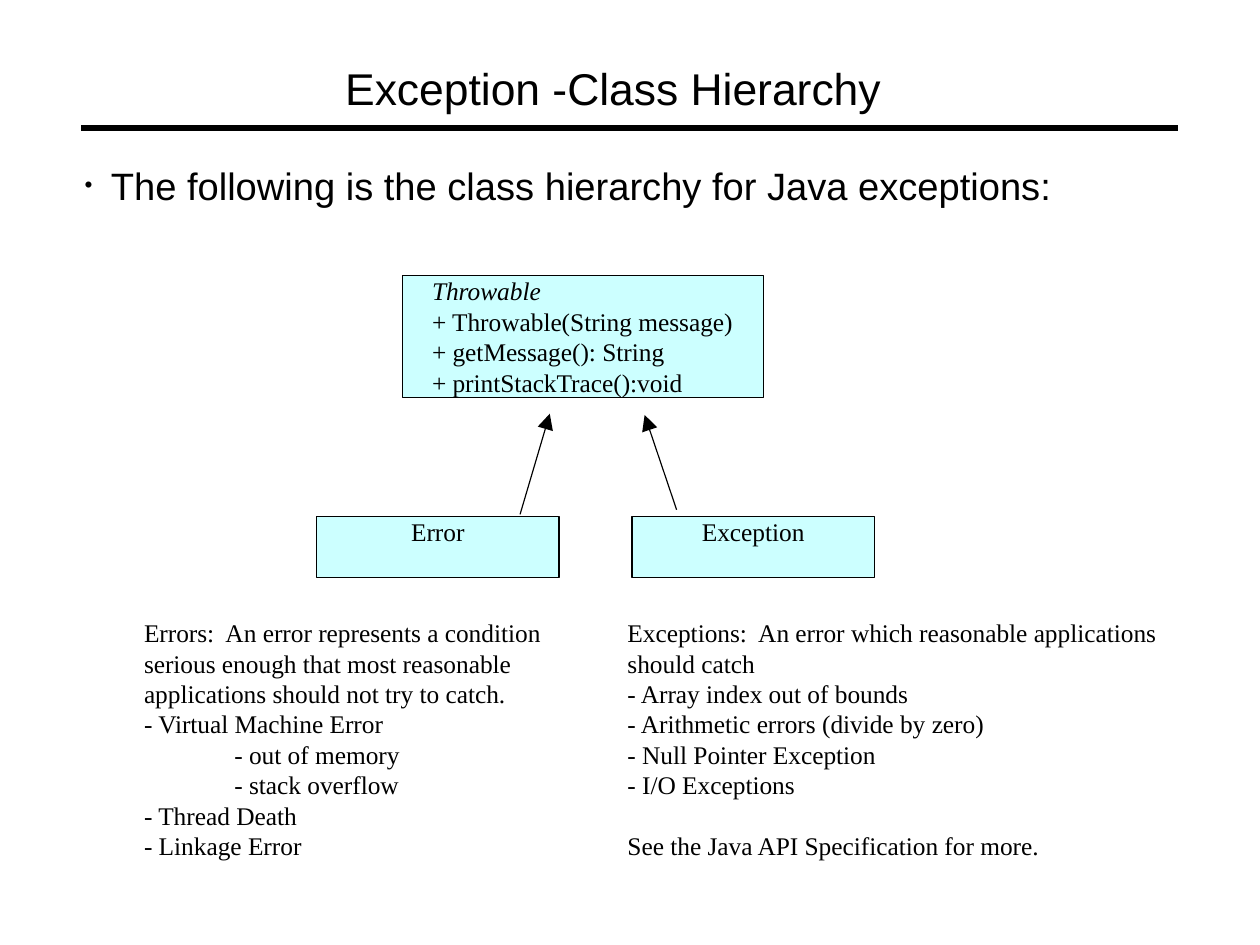
"""Build the exception class hierarchy slide."""
from dataclasses import dataclass

from lxml.etree import SubElement
from pptx import Presentation
from pptx.dml.color import RGBColor
from pptx.enum.shapes import MSO_CONNECTOR, MSO_SHAPE
from pptx.enum.text import MSO_ANCHOR, MSO_AUTO_SIZE, PP_ALIGN
from pptx.oxml.ns import qn
from pptx.util import Cm, Inches, Pt

TITLE = "Exception -Class Hierarchy"
LEAD = "The following is the class hierarchy for Java exceptions:"
THROWABLE = [
    "Throwable",
    "+ Throwable(String message)",
    "+ getMessage(): String",
    "+ printStackTrace():void",
]
SUBCLASSES = ["Error", "Exception"]
ERRORS = [
    "Errors:  An error represents a condition serious enough "
    "that most reasonable applications should not try to catch.",
    "- Virtual Machine Error",
    "- out of memory",
    "- stack overflow",
    "- Thread Death",
    "- Linkage Error",
]
ERROR_DETAILS = ERRORS[2:4]
EXCEPTIONS = [
    "Exceptions:  An error which reasonable applications should catch",
    "- Array index out of bounds",
    "- Arithmetic errors (divide by zero)",
    "- Null Pointer Exception",
    "- I/O Exceptions",
    "See the Java API Specification for more.",
]
ARROWS = [(4.55, 4.5, 4.81, 3.62), (5.92, 4.46, 5.64, 3.63)]


@dataclass(frozen=True)
class Theme:
    """Colours, fonts and sizes of the slide."""
    ink: RGBColor = RGBColor(0x00, 0x00, 0x00)
    box: RGBColor = RGBColor(0xCC, 0xFF, 0xFF)
    heading_font: str = "Arial"
    text_font: str = "Times New Roman"
    title_size: int = 28
    lead_size: int = 24
    text_size: int = 16
    rule_width: float = 4.31
    line_width: float = 0.75


THEME = Theme()


def place(shape, left, top, width, height):
    """Move and size a shape, in inches."""
    shape.left, shape.top = Inches(left), Inches(top)
    shape.width, shape.height = Inches(width), Inches(height)


def write(shape, lines, font, size, align=PP_ALIGN.LEFT, inset=0):
    """Fill a shape with uniformly styled paragraphs and return them."""
    frame = shape.text_frame
    frame.text = "\n".join(lines)
    frame.word_wrap = True
    frame.auto_size = MSO_AUTO_SIZE.NONE
    frame.vertical_anchor = MSO_ANCHOR.TOP
    frame.margin_left = Inches(inset)
    frame.margin_top = frame.margin_right = frame.margin_bottom = 0
    for paragraph in frame.paragraphs:
        if shape.is_placeholder and shape.placeholder_format.idx == 1:
            add_bullet(paragraph)
        paragraph.alignment = align
        paragraph.space_before = Pt(0)
        paragraph.font.name = font
        paragraph.font.size = Pt(size)
        paragraph.font.color.rgb = THEME.ink
    return frame.paragraphs


def indent(paragraph, margin, first=0):
    """Set the left margin and first-line indent, in inches."""
    properties = paragraph._p.get_or_add_pPr()
    properties.set("marL", str(Inches(margin)))
    properties.set("indent", str(Inches(first)))
    return properties


def add_bullet(paragraph):
    """Give a paragraph a small hanging bullet."""
    properties = indent(paragraph, 0.23, -0.23)
    SubElement(properties, qn("a:buSzPct"), val="59000")
    SubElement(properties, qn("a:buChar"), char="•")


def add_class_box(slide, left, top, width, height):
    """Add an empty class box."""
    shape = slide.shapes.add_shape(MSO_SHAPE.ROUNDED_RECTANGLE, 0, 0, 0, 0)
    place(shape, left, top, width, height)
    shape.adjustments[0] = 0
    shape.shadow.inherit = False
    shape.fill.solid()
    shape.fill.fore_color.rgb = THEME.box
    shape.line.color.rgb = THEME.ink
    shape.line.width = Pt(THEME.line_width)
    return shape


def add_line(slide, ends, width, arrow=False):
    """Add a straight line, with an arrowhead at its end if asked."""
    line = slide.shapes.add_connector(
        MSO_CONNECTOR.STRAIGHT, *(Inches(end) for end in ends))
    line.line.color.rgb = THEME.ink
    line.line.width = Pt(width)
    if arrow:
        SubElement(line.line._get_or_add_ln(), qn("a:tailEnd"),
                   type="triangle", w="lg", len="lg")
    SubElement(line._element.spPr, qn("a:effectLst"))


def add_column(slide, lines, left, width):
    """Add an explanatory column and return its paragraphs."""
    column = slide.shapes.add_textbox(0, 0, 0, 0)
    place(column, left, 5.4, width, 2.13)
    return write(column, lines, THEME.text_font, THEME.text_size)


def main():
    """Build and save the slide."""
    presentation = Presentation()
    presentation.slide_width = Cm(28)
    presentation.slide_height = Cm(21)
    slide = presentation.slides.add_slide(presentation.slide_layouts[1])

    add_line(slide, (0.71, 1.12, 10.31, 1.12), THEME.rule_width)
    title, body = slide.shapes.title, slide.placeholders[1]
    place(title, 3.02, 0.53, 4.94, 0.47)
    write(title, [TITLE], THEME.heading_font, THEME.title_size)
    place(body, 0.74, 1.42, 9.37, 0.4)
    write(body, [LEAD], THEME.heading_font, THEME.lead_size)

    throwable = add_class_box(slide, 3.52, 2.41, 3.16, 1.07)
    members = write(throwable, THROWABLE, THEME.text_font, THEME.text_size, inset=0.26)
    members[0].font.italic = True
    for index, name in enumerate(SUBCLASSES):
        box = add_class_box(slide, 2.77 + 2.76 * index, 4.52, 2.12, 0.53)
        write(box, [name], THEME.text_font, THEME.text_size, PP_ALIGN.CENTER)
    for ends in ARROWS:
        add_line(slide, ends, THEME.line_width, arrow=True)

    for paragraph in add_column(slide, ERRORS, 1.26, 3.55):
        if paragraph.text in ERROR_DETAILS:
            indent(paragraph, 0.79)
    closing = add_column(slide, EXCEPTIONS, 5.49, 4.7)[-1]
    closing.space_before = Pt(19)

    presentation.save("out.pptx")


if __name__ == "__main__":
    main()
